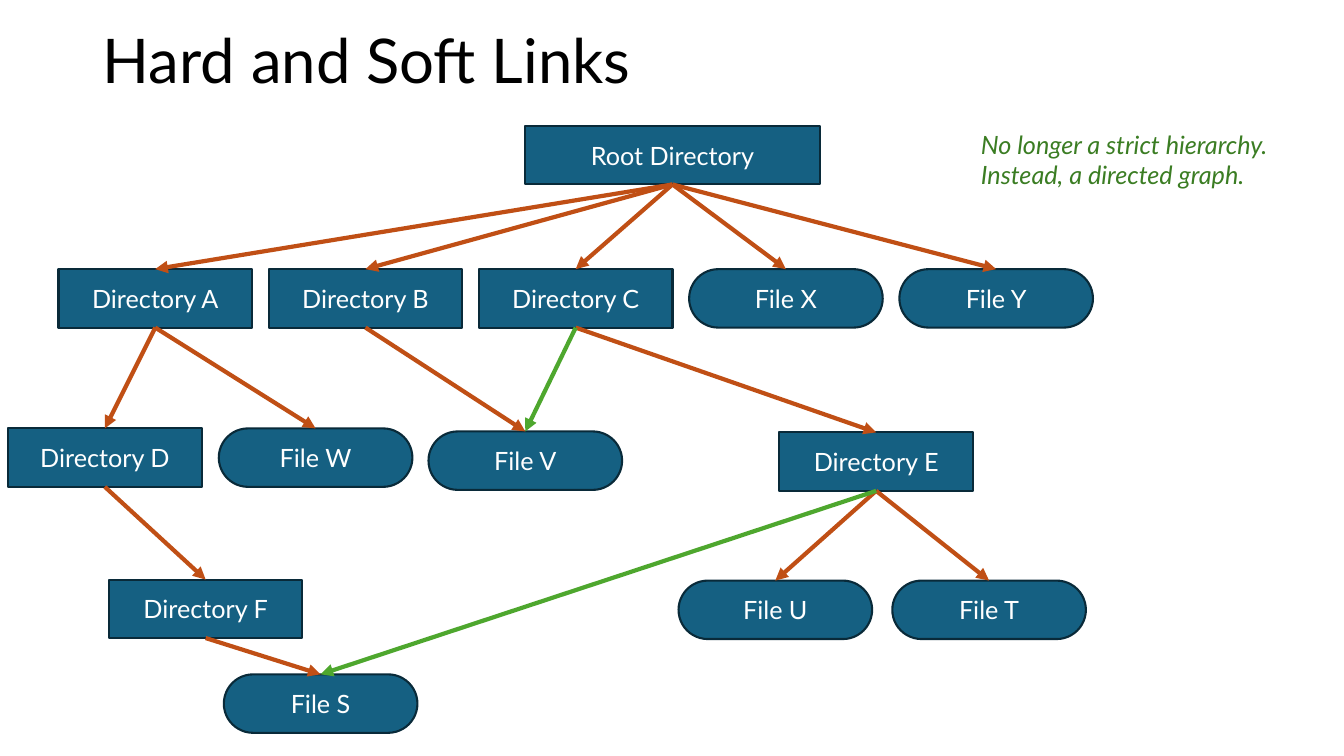
from dataclasses import dataclass

from lxml import etree
from pptx import Presentation
from pptx.dml.color import RGBColor
from pptx.enum.shapes import MSO_CONNECTOR, MSO_SHAPE
from pptx.enum.text import MSO_ANCHOR, MSO_AUTO_SIZE, PP_ALIGN
from pptx.oxml.ns import qn
from pptx.util import Inches, Pt

RECT, ROUND = MSO_SHAPE.RECTANGLE, MSO_SHAPE.ROUNDED_RECTANGLE
STRAIGHT = MSO_CONNECTOR.STRAIGHT
LEFT, CENTER = PP_ALIGN.LEFT, PP_ALIGN.CENTER
TOP, MIDDLE = MSO_ANCHOR.TOP, MSO_ANCHOR.MIDDLE
NO_FIT, GROW = MSO_AUTO_SIZE.NONE, MSO_AUTO_SIZE.SHAPE_TO_FIT_TEXT
TOP_SIDE, BOTTOM_SIDE = 0, 2


@dataclass(frozen=True)
class Theme:
    font: str = "Lato"
    black: str = "000000"
    white: str = "FFFFFF"
    fill: str = "156082"
    edge: str = "092A39"
    hard: str = "C04F15"
    extra: str = "4EA72E"
    note: str = "3B7D23"
    head_size: int = 44
    text_size: int = 18


NODE_W, NODE_H = 1.92, 0.58
ROW_TOP, ROW_LEFT, PITCH = 2.67, 0.58, 2.085
ROW = ["Directory A", "Directory B", "Directory C", "File X", "File Y"]

# name: (left, top, width)
NODES = {
    "Root Directory": (5.21, 1.25, 2.92),
    **{name: (ROW_LEFT + i * PITCH, ROW_TOP, NODE_W) for i, name in enumerate(ROW)},
    "Directory D": (0.08, 4.25, NODE_W),
    "File W": (2.17, 4.25, NODE_W),
    "Directory E": (7.73, 4.29, NODE_W),
    "File V": (4.25, 4.28, NODE_W),
    "Directory F": (1.08, 5.75, NODE_W),
    "File T": (8.85, 5.76, NODE_W),
    "File U": (6.73, 5.76, NODE_W),
    "File S": (2.22, 6.69, NODE_W),
}

TREE = {
    "Root Directory": ROW,
    "Directory A": ["Directory D", "File W"],
    "Directory B": ["File V"],
    "Directory C": ["Directory E"],
    "Directory E": ["File U", "File T"],
    "Directory D": ["Directory F"],
    "Directory F": ["File S"],
}
EXTRA = {"Directory C": ["File V"], "Directory E": ["File S"]}


def write(frame, text, *, theme, size, color, align=LEFT, anchor=TOP,
          italic=False, fit=NO_FIT, space=None):
    frame.word_wrap = True
    frame.auto_size = fit
    frame.vertical_anchor = anchor
    para = frame.paragraphs[0]
    para.alignment = align
    if space:
        para.line_spacing = space
    run = para.add_run()
    run.text = text
    font = run.font
    font.name, font.size, font.italic = theme.font, Pt(size), italic
    font.color.rgb = RGBColor.from_string(color)


class Board:
    """Draws styled elements on one slide."""

    def __init__(self, slide, theme):
        self.slide, self.theme = slide, theme

    def title(self, text, left, top, width, height):
        shape = self.slide.shapes.title
        shape.left, shape.top = Inches(left), Inches(top)
        shape.width, shape.height = Inches(width), Inches(height)
        write(shape.text_frame, text, theme=self.theme, size=self.theme.head_size,
              color=self.theme.black, anchor=MIDDLE, space=0.9)

    def node(self, name, left, top, width):
        """Add a directory as a box, or a file as a pill."""
        kind = ROUND if name.startswith("File") else RECT
        shape = self.slide.shapes.add_shape(
            kind, Inches(left), Inches(top), Inches(width), Inches(NODE_H))
        if kind == ROUND:
            shape.adjustments[0] = 0.5
        shape.shadow.inherit = False
        shape.fill.solid()
        shape.fill.fore_color.rgb = RGBColor.from_string(self.theme.fill)
        shape.line.color.rgb = RGBColor.from_string(self.theme.edge)
        shape.line.width = Pt(1.5)
        write(shape.text_frame, name, theme=self.theme, size=self.theme.text_size,
              color=self.theme.white, align=CENTER, anchor=MIDDLE)
        return shape

    def arrow(self, start, end, color):
        link = self.slide.shapes.add_connector(STRAIGHT, 0, 0, 0, 0)
        link.begin_connect(start, BOTTOM_SIDE)
        link.end_connect(end, TOP_SIDE)
        link.line.color.rgb = RGBColor.from_string(color)
        link.line.width = Pt(3)
        etree.SubElement(link.line._get_or_add_ln(), qn("a:tailEnd"), type="triangle")
        etree.SubElement(link._element.spPr, qn("a:effectLst"))

    def note(self, text, left, top, width, height):
        box = self.slide.shapes.add_textbox(
            Inches(left), Inches(top), Inches(width), Inches(height))
        write(box.text_frame, text, theme=self.theme, size=self.theme.text_size,
              color=self.theme.note, italic=True, fit=GROW)


def main():
    deck = Presentation()
    deck.slide_width, deck.slide_height = Inches(13.33), Inches(7.5)
    theme = Theme()
    board = Board(deck.slides.add_slide(deck.slide_layouts[5]), theme)

    board.title("Hard and Soft Links", 0.92, 0.17, 11.5, 0.93)
    nodes = {name: board.node(name, *place) for name, place in NODES.items()}
    for links, color in ((TREE, theme.hard), (EXTRA, theme.extra)):
        for source, targets in links.items():
            for target in targets:
                board.arrow(nodes[source], nodes[target], color)
    board.note("No longer a strict hierarchy. Instead, a directed graph.",
               9.63, 1.23, 3.19, 0.71)

    deck.save("out.pptx")


if __name__ == "__main__":
    main()
